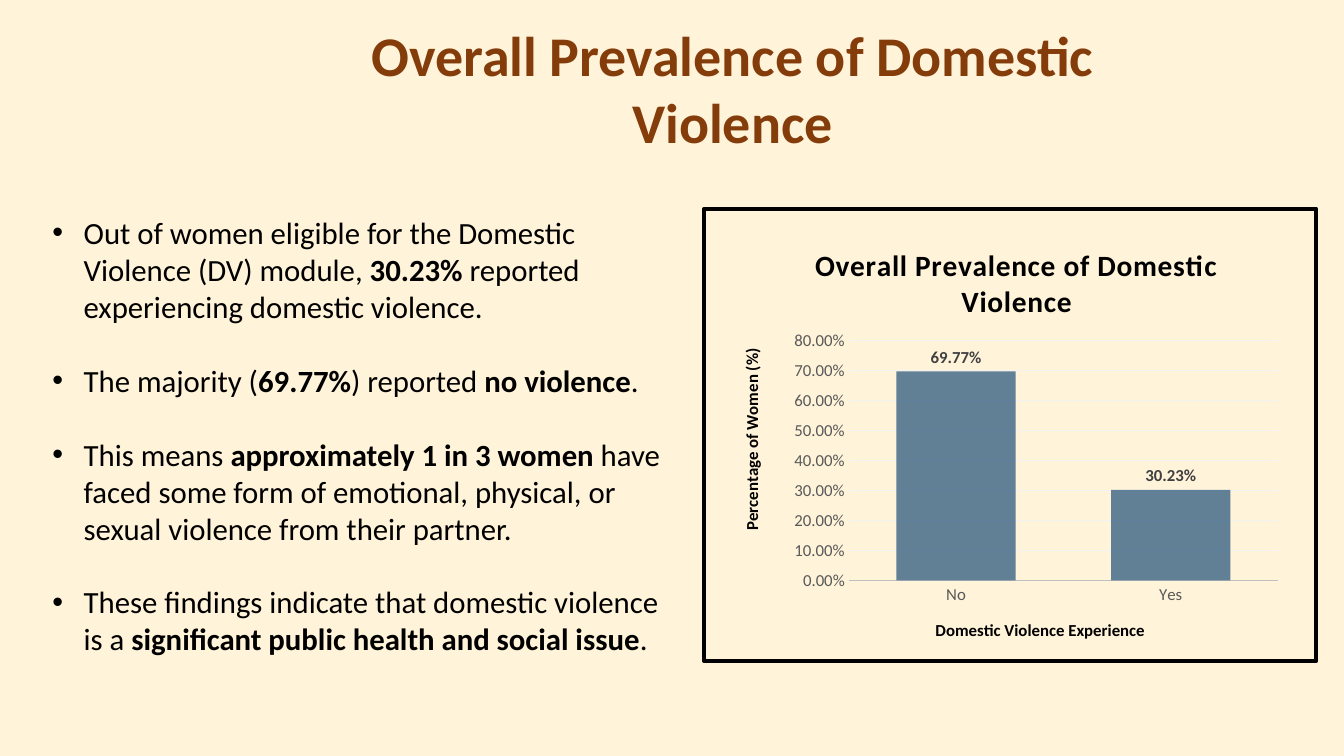
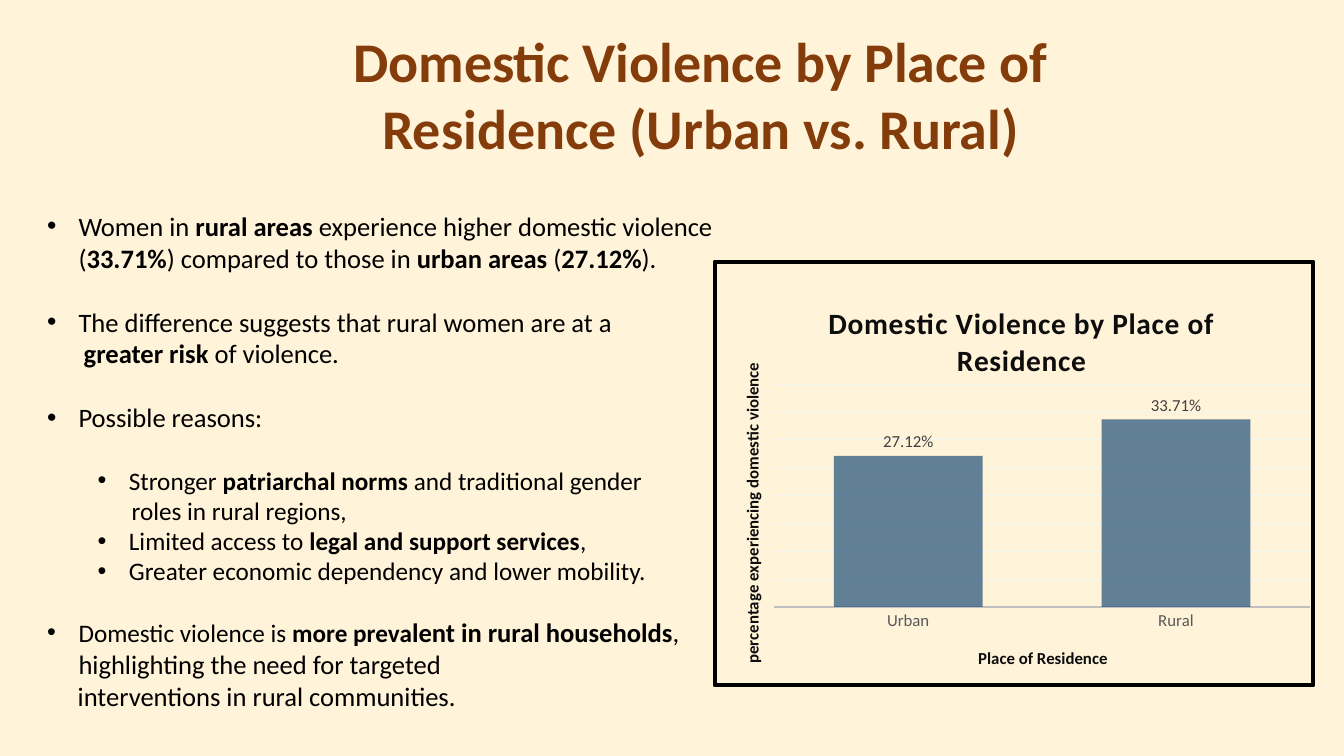
from dataclasses import dataclass

import lxml.etree
import pptx
import pptx.chart.data
import pptx.dml.color
import pptx.enum.chart
import pptx.enum.shapes
import pptx.enum.text
import pptx.oxml
import pptx.oxml.ns
import pptx.util

Cm = pptx.util.Cm
Pt = pptx.util.Pt
qn = pptx.oxml.ns.qn


@dataclass(frozen=True)
class Theme:
    font: str = "Calibri"
    background: str = "FFF3D9"
    title: str = "843C0B"
    text: str = "000000"
    bar: str = "1F4E79"
    bar_alpha: int = 70000
    data_label: str = "404040"
    tick_label: str = "595959"
    axis_line: str = "BFBFBF"
    grid: str = "F2F2F2"
    title_pt: float = 40
    chart_title_pt: float = 21
    chart_pt: float = 12


@dataclass(frozen=True)
class Box:
    """A rectangle in centimetres."""
    left: float
    top: float
    width: float
    height: float

    def emu(self) -> tuple:
        return Cm(self.left), Cm(self.top), Cm(self.width), Cm(self.height)


@dataclass(frozen=True)
class Item:
    """A body paragraph; ** switches bold on and off, lead is set smaller."""
    text: str
    size: float
    gap: float = 0
    indent: float = 0.79
    bullet: bool = True
    lead: str = ""


@dataclass(frozen=True)
class Label:
    """A chart caption and its top left corner, as fractions of the chart."""
    text: str
    x: float
    y: float


@dataclass(frozen=True)
class Column:
    box: Box
    title: Label
    category_title: Label
    value_title: Label
    plot: tuple
    values: dict
    maximum: float
    show_values: bool = True
    bold_labels: bool = False
    title_color: str = "000000"


@dataclass(frozen=True)
class Page:
    title: str
    title_box: Box
    body_box: Box
    items: list
    frame: Box
    chart: Column


THEME = Theme()
HANGING = 0.79
LEAD_PT = 18


def style(font, size: float, color: str, bold: bool = False) -> None:
    font.name = THEME.font
    font.size = Pt(size)
    font.bold = bold
    font.color.rgb = pptx.dml.color.RGBColor.from_string(color)


def set_line(line, color: str, width: float) -> None:
    line.color.rgb = pptx.dml.color.RGBColor.from_string(color)
    line.width = Pt(width)


def add_runs(p, text: str, size: float) -> None:
    for i, part in enumerate(text.split("**")):
        if part:
            r = p.add_run()
            r.text = part
            style(r.font, size, THEME.text, bold=i % 2 == 1)


def add_title(s, text: str, box: Box) -> None:
    sp = s.shapes.title
    sp.left, sp.top, sp.width, sp.height = box.emu()
    tf = sp.text_frame
    tf.text = text
    tf.word_wrap = True
    tf.auto_size = pptx.enum.text.MSO_AUTO_SIZE.NONE
    tf.vertical_anchor = pptx.enum.text.MSO_ANCHOR.TOP
    p = tf.paragraphs[0]
    p.alignment = pptx.enum.text.PP_ALIGN.CENTER
    p.line_spacing = 1.0
    style(p.runs[0].font, THEME.title_pt, THEME.title, bold=True)


def add_body(s, box: Box, items: list) -> None:
    tf = s.shapes.add_textbox(*box.emu()).text_frame
    tf.word_wrap = True
    for i, item in enumerate(items):
        p = tf.add_paragraph() if i else tf.paragraphs[0]
        p.space_after = Pt(item.gap)
        add_runs(p, item.lead, LEAD_PT)
        add_runs(p, item.text, item.size)
        pPr = p._p.get_or_add_pPr()
        pPr.set("marL", str(Cm(item.indent)))
        pPr.set("indent", str(-Cm(HANGING) if item.bullet else 0))
        if item.bullet:
            lxml.etree.SubElement(pPr, qn("a:buFont")).set("typeface", "Arial")
            lxml.etree.SubElement(pPr, qn("a:buChar")).set("char", "•")


def add_frame(s, box: Box) -> None:
    sp = s.shapes.add_shape(pptx.enum.shapes.MSO_SHAPE.RECTANGLE, *box.emu())
    sp.shadow.inherit = False
    sp.fill.background()
    set_line(sp.line, THEME.text, 3)


def place(element, **fractions: float) -> None:
    """Give a chart title or plot area a manual layout."""
    layout = element.find(qn("c:layout"))
    if layout is None:
        layout = lxml.etree.Element(qn("c:layout"))
        element.insert(0 if element.find(qn("c:tx")) is None else 1, layout)
    manual = lxml.etree.SubElement(layout, qn("c:manualLayout"))
    settings = {"xMode": "edge", "yMode": "edge", **fractions}
    if "w" in fractions:
        settings = {"layoutTarget": "inner", **settings}
    for name, value in settings.items():
        lxml.etree.SubElement(manual, qn(f"c:{name}")).set("val", str(value))


def add_label(title, label: Label, size: float, color: str,
              spacing: int = 0, rotation: int = 0) -> None:
    tf = title.text_frame
    tf.text = label.text
    r = tf.paragraphs[0].runs[0]
    style(r.font, size, color, bold=True)
    r._r.get_or_add_rPr().set("spc", str(spacing))
    body = tf._txBody.find(qn("a:bodyPr"))
    body.set("rot", str(rotation * 60000))
    body.set("vert", "horz")
    place(title._element, x=label.x, y=label.y)


def add_column_chart(s, spec: Column) -> None:
    data = pptx.chart.data.CategoryChartData(number_format="0.00%")
    data.categories = list(spec.values)
    data.add_series("Series 1", list(spec.values.values()))
    kind = pptx.enum.chart.XL_CHART_TYPE.COLUMN_CLUSTERED
    chart = s.shapes.add_chart(kind, *spec.box.emu(), data).chart
    chart.has_legend = False
    style(chart.font, THEME.chart_pt, THEME.text)
    chart.has_title = True
    add_label(chart.chart_title, spec.title, THEME.chart_title_pt, spec.title_color, spacing=50)
    place(chart._chartSpace.chart.plotArea, **dict(zip("xywh", spec.plot)))

    category, value = chart.category_axis, chart.value_axis
    for axis, label, rotation in ((category, spec.category_title, 0),
                                  (value, spec.value_title, -90)):
        axis.major_tick_mark = axis.minor_tick_mark = pptx.enum.chart.XL_TICK_MARK.NONE
        style(axis.tick_labels.font, THEME.chart_pt, THEME.tick_label)
        add_label(axis.axis_title, label, THEME.chart_pt, spec.title_color, rotation=rotation)
    set_line(category.format.line, THEME.axis_line, 1.25)
    value.format.line.fill.background()
    value.minimum_scale, value.maximum_scale = 0, spec.maximum
    value.tick_labels.number_format = "0.00%"
    value.tick_labels.number_format_is_linked = False
    value.visible = spec.show_values
    value.has_major_gridlines = True
    set_line(value.major_gridlines.format.line, THEME.grid, 0.75)

    plot = chart.plots[0]
    plot.gap_width, plot.overlap = 80, 25
    plot.vary_by_categories = False
    fill = plot.series[0].format.fill
    fill.solid()
    fill.fore_color.rgb = pptx.dml.color.RGBColor.from_string(THEME.bar)
    color = plot.series[0]._element.find(".//" + qn("a:srgbClr"))
    lxml.etree.SubElement(color, qn("a:alpha")).set("val", str(THEME.bar_alpha))
    plot.has_data_labels = True
    labels = plot.data_labels
    labels.show_value = True
    labels.number_format = "0.00%"
    labels.number_format_is_linked = False
    labels.position = pptx.enum.chart.XL_LABEL_POSITION.OUTSIDE_END
    style(labels.font, THEME.chart_pt, THEME.data_label, bold=spec.bold_labels)


PAGES = [
    Page(
        title="Overall Prevalence of Domestic Violence",
        title_box=Box(6.71, 0.38, 23.5, 3.68),
        body_box=Box(1.07, 5.26, 16, 12.47),
        items=[Item(text, 22, gap=26.4) for text in (
            "Out of women eligible for the Domestic Violence (DV) module, **30.23%** reported "
            "experiencing domestic violence.",
            "The majority (**69.77%**) reported **no violence**.",
            "This means **approximately 1 in 3 women** have faced some form of emotional, "
            "physical, or sexual violence from their partner.",
            "These findings indicate that domestic violence is a "
            "**significant public health and social issue**.",
        )],
        frame=Box(17.75, 5.26, 15.42, 11.4),
        chart=Column(
            box=Box(18.44, 5.46, 14.05, 11.18),
            title=Label("Overall Prevalence of Domestic Violence", 0.14, 0.05),
            category_title=Label("Domestic Violence Experience", 0.36, 0.9),
            value_title=Label("Percentage of Women (%)", 0.01, 0.29),
            plot=(0.21, 0.28, 0.77, 0.54),
            values={"No": 0.6977, "Yes": 0.3023},
            maximum=0.8,
            bold_labels=True,
        ),
    ),
    Page(
        title="Domestic Violence by Place of Residence (Urban vs. Rural)",
        title_box=Box(6.76, 0.53, 21.79, 3.68),
        body_box=Box(0.94, 5.16, 18.49, 13.5),
        items=[
            Item("Women in **rural areas** experience higher domestic violence (**33.71%**) "
                 "compared to those in **urban areas** (**27.12%**).", 19, gap=22.8),
            Item("The difference suggests that rural women are at a", 19),
            Item("**greater risk** of violence.", 19, gap=22.8, indent=0.92, bullet=False),
            Item("Possible reasons:", 19, gap=22.8),
            Item("Stronger **patriarchal norms** and traditional gender", 18, indent=2.06),
            Item("roles in rural regions,", 18, indent=2.13, bullet=False),
            Item("Limited access to **legal and support services**,", 18, indent=2.06),
            Item("Greater economic dependency and lower mobility.", 18, gap=21.6, indent=2.06),
            Item("**lent in rural households**, highlighting the need for targeted", 19,
                 lead="Domestic violence is **more preva**"),
            Item("interventions in rural communities.", 19, indent=0.77, bullet=False),
        ],
        frame=Box(18.01, 6.6, 15.09, 10.67),
        chart=Column(
            box=Box(17.98, 6.88, 15.34, 10.39),
            title=Label("Domestic Violence by Place of Residence", 0.18, 0.06),
            category_title=Label("Place of Residence", 0.43, 0.9),
            value_title=Label("percentage experiencing domestic violence", 0.04, 0.21),
            plot=(0.1, 0.27, 0.88, 0.54),
            values={"Urban": 0.2712, "Rural": 0.3371},
            maximum=0.4,
            show_values=False,
            title_color="0D0D0D",
        ),
    ),
]


def main() -> None:
    prs = pptx.Presentation()
    prs.slide_width, prs.slide_height = Cm(33.87), Cm(19.05)
    fill = prs.slide_master.background.fill
    fill.solid()
    fill.fore_color.rgb = pptx.dml.color.RGBColor.from_string(THEME.background)
    for page in PAGES:
        s = prs.slides.add_slide(prs.slide_layouts.get_by_name("Title Only"))
        add_title(s, page.title, page.title_box)
        add_frame(s, page.frame)
        add_column_chart(s, page.chart)
        add_body(s, page.body_box, page.items)
    prs.save("out.pptx")


if __name__ == "__main__":
    main()
